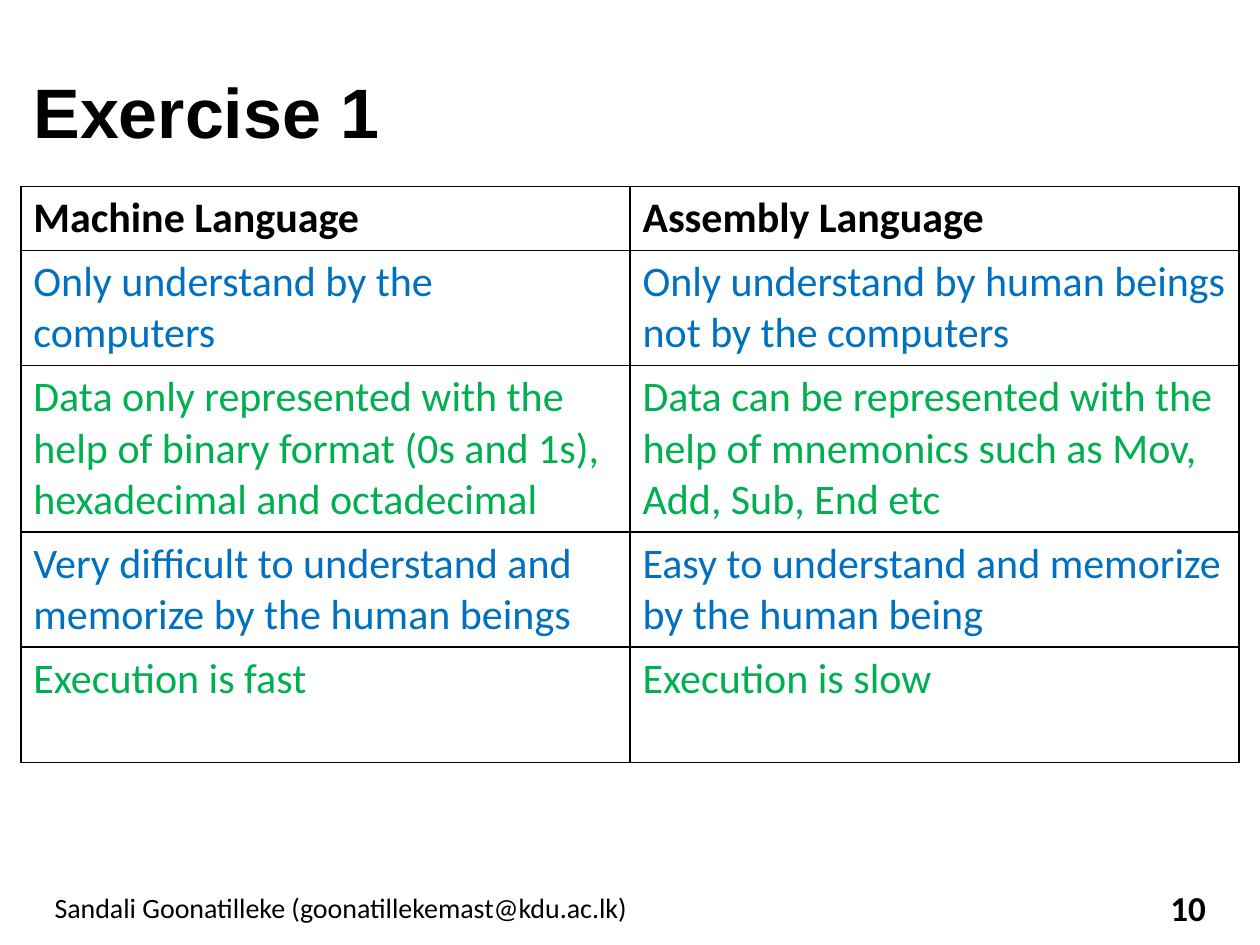
"""Build the Exercise 1 slide comparing machine and assembly language."""
from dataclasses import dataclass

from lxml import etree
from pptx import Presentation
from pptx.dml.color import RGBColor
from pptx.enum.text import MSO_ANCHOR, MSO_AUTO_SIZE, PP_ALIGN
from pptx.oxml.ns import qn
from pptx.util import Cm, Pt

LEFT, RIGHT = PP_ALIGN.LEFT, PP_ALIGN.RIGHT
MIDDLE, TOP = MSO_ANCHOR.MIDDLE, MSO_ANCHOR.TOP
NO_AUTOFIT = MSO_AUTO_SIZE.NONE
TITLE_ONLY = 5

HEADINGS = ("Machine Language", "Assembly Language")
COMPARISONS = (
    ("Only understand by the computers",
     "Only understand by human beings not by the computers"),
    ("Data only represented with the help of binary format (0s and 1s), "
     "hexadecimal and octadecimal",
     "Data can be represented with the help of mnemonics such as Mov, "
     "Add, Sub, End etc"),
    ("Very difficult to understand and memorize by the human beings",
     "Easy to understand and memorize by the human being"),
    ("Execution is fast", "Execution is slow"),
)
ROW_HEIGHTS = (1.29, 2.32, 3.35, 2.32, 2.32)


@dataclass(frozen=True)
class Theme:
    """Colours, fonts and type sizes of the slide."""
    black: str = "000000"
    white: str = "FFFFFF"
    blue: str = "0070C0"
    green: str = "00B050"
    title_font: str = "Arial"
    body_font: str = "Calibri"
    title_size: int = 40
    table_size: int = 24
    number_size: int = 20
    footer_size: int = 16
    border_width: int = 1


class SlideBuilder:
    """Hold the theme and the current slide, and add elements to it."""

    def __init__(self, slide, theme):
        self.slide = slide
        self.theme = theme

    def fill_text(self, frame, text, size, color, bold=False, font=None, align=LEFT):
        frame.word_wrap = True
        frame.text = text
        paragraph = frame.paragraphs[0]
        paragraph.alignment = align
        paragraph.font.name = font or self.theme.body_font
        paragraph.font.size = Pt(size)
        paragraph.font.bold = bold
        paragraph.font.color.rgb = RGBColor.from_string(color)

    def title(self, text, left, top, width, height):
        shape = self.slide.shapes.title
        shape.left, shape.top = Cm(left), Cm(top)
        shape.width, shape.height = Cm(width), Cm(height)
        frame = shape.text_frame
        frame.auto_size = NO_AUTOFIT
        frame.vertical_anchor = MIDDLE
        self.fill_text(frame, text, self.theme.title_size, self.theme.black,
                       bold=True, font=self.theme.title_font)

    def text(self, text, left, top, width, height, size, bold=False, align=LEFT):
        shape = self.slide.shapes.add_textbox(
            Cm(left), Cm(top), Cm(width), Cm(height))
        shape.text_frame.vertical_anchor = MIDDLE
        self.fill_text(shape.text_frame, text, size, self.theme.black, bold,
                       align=align)

    def border(self, cell):
        properties = cell._tc.get_or_add_tcPr()
        for side in ("lnL", "lnR", "lnT", "lnB"):
            line = etree.SubElement(properties, qn(f"a:{side}"),
                                    w=str(Pt(self.theme.border_width)))
            fill = etree.SubElement(line, qn("a:solidFill"))
            etree.SubElement(fill, qn("a:srgbClr"), val=self.theme.black)

    def table(self, rows, row_heights, left, top, width):
        theme = self.theme
        table = self.slide.shapes.add_table(
            len(rows), len(rows[0]), Cm(left), Cm(top),
            Cm(width), Cm(sum(row_heights))).table
        for index, (texts, height) in enumerate(zip(rows, row_heights)):
            table.rows[index].height = Cm(height)
            heading = index == 0
            color = theme.black if heading else (theme.green, theme.blue)[index % 2]
            for column, text in enumerate(texts):
                cell = table.cell(index, column)
                self.border(cell)
                cell.fill.solid()
                cell.fill.fore_color.rgb = RGBColor.from_string(theme.white)
                cell.vertical_anchor = TOP
                self.fill_text(cell.text_frame, text, theme.table_size, color,
                               heading)


def main():
    presentation = Presentation()
    presentation.slide_width, presentation.slide_height = Cm(25.4), Cm(19.05)
    slide = presentation.slides.add_slide(presentation.slide_layouts[TITLE_ONLY])
    theme = Theme()
    builder = SlideBuilder(slide, theme)
    builder.title("Exercise 1", 0.42, 0.69, 24.56, 3.07)
    builder.table((HEADINGS, *COMPARISONS), ROW_HEIGHTS, 0.42, 3.76, 24.56)
    builder.text("Sandali Goonatilleke (goonatillekemast@kdu.ac.lk)",
                 0.85, 17.78, 18.42, 1.02, theme.footer_size)
    builder.text("10", 22.44, 17.78, 2.12, 1.02, theme.number_size,
                 bold=True, align=RIGHT)
    presentation.save("out.pptx")


if __name__ == "__main__":
    main()
